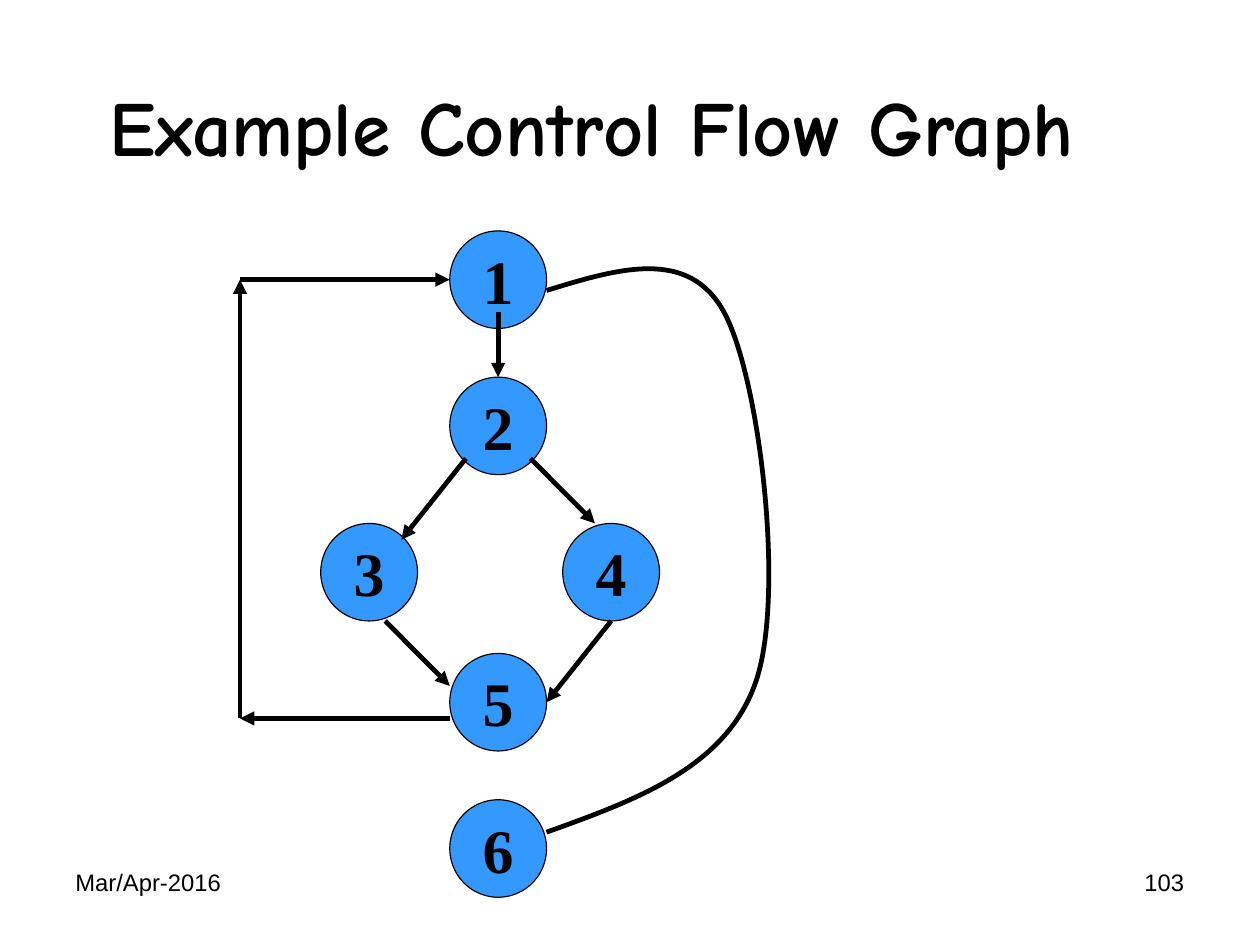
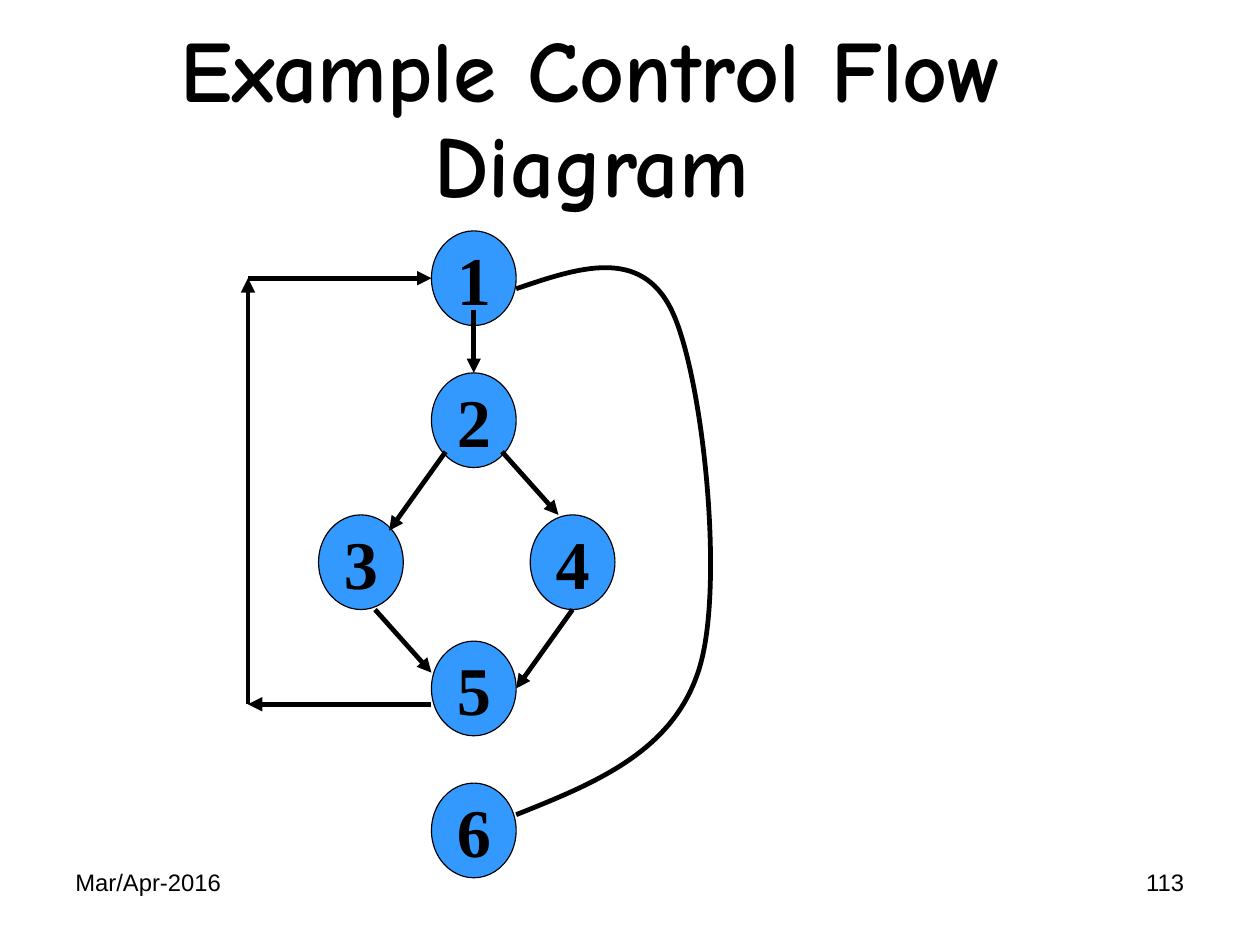
from pptx import Presentation
from pptx.dml.color import RGBColor
from pptx.enum.shapes import MSO_CONNECTOR, MSO_SHAPE
from pptx.enum.text import MSO_ANCHOR, MSO_AUTO_SIZE, PP_ALIGN
from pptx.oxml.ns import qn
from pptx.util import Cm, Inches, Pt
from lxml.etree import SubElement

BLACK = RGBColor(0x00, 0x00, 0x00)
BLUE = RGBColor(0x33, 0x99, 0xFF)

# The graph lies on a grid: 26 columns to the right of node 4, 41 rows
COLS, ROWS, NODE = 26, 41, 6
NODES = [(13, 0), (13, 9), (5, 18), (20, 18), (13, 26), (13, 35)]
ARROWS = [
    ((16, 5), (16, 9)),
    ((14, 14), (10, 19)),
    ((18, 14), (22, 18)),
    ((9, 24), (13, 28)),
    ((23, 24), (19, 29)),
    ((13, 30), (0, 30)),
    ((0, 30), (0, 3)),
    ((0, 3), (13, 3)),
]
# Start point, then three Bezier points per segment
EXIT_CURVE = [
    (19, 3.67),
    (23.4, 2.33), (27.8, 1), (30, 5),
    (32.2, 9), (33.8, 22.33), (32, 27.67),
    (30.2, 33), (24.6, 35), (19, 37),
]

# title, title size, title top, graph box, digit size, slide number
SLIDES = [
    ("Example Control Flow Graph", 49, 0.46, (2.1, 2.02, 3.67, 5.83), 39, "103"),
    ("Example Control Flow Diagram", 55, 0.37, (2.17, 2.02, 3.21, 5.66), 43, "113"),
]


def write(shape, text, font, size, align, anchor=MSO_ANCHOR.MIDDLE, bold=True):
    tf = shape.text_frame
    tf.word_wrap = True
    tf.auto_size = MSO_AUTO_SIZE.NONE
    tf.vertical_anchor = anchor
    tf.margin_left = tf.margin_right = Inches(0.11)
    tf.margin_top = tf.margin_bottom = Inches(0.06)
    p = tf.paragraphs[0]
    p.text = text
    p.alignment = align
    p.font.name = font
    p.font.size = Pt(size)
    p.font.bold = bold
    p.font.color.rgb = BLACK
    return p


def curve_segments(freeform):
    """Turn each three line segments of the outline into one Bezier segment."""
    path = next(freeform._element.iter(qn("a:path")))
    lines = path.findall(qn("a:lnTo"))
    for i in range(0, len(lines), 3):
        bezier = SubElement(path, qn("a:cubicBezTo"))
        for line in lines[i:i + 3]:
            bezier.append(line[0])
            path.remove(line)


prs = Presentation()
prs.slide_width, prs.slide_height = Cm(28), Cm(21)

for title, title_size, title_top, box, digit_size, number in SLIDES:
    s = prs.slides.add_slide(prs.slide_layouts[5])

    sp = s.shapes.title
    sp.left, sp.top = Inches(0.49), Inches(title_top)
    sp.width, sp.height = Inches(9.37), Inches(1.38)
    p = write(sp, title, "Comic Neue", title_size, PP_ALIGN.CENTER)
    p.line_spacing = 0.91

    for left, text, align in [(0.55, "Mar/Apr-2016", PP_ALIGN.LEFT),
                              (7.9, number, PP_ALIGN.RIGHT)]:
        sp = s.shapes.add_textbox(Inches(left), Inches(7.53), Inches(2.57), Inches(0.57))
        write(sp, text, "Arial", 15, align, MSO_ANCHOR.TOP, False)

    left, top, width, height = box
    col, row = width / COLS, height / ROWS
    graph = s.shapes.add_group_shape().shapes

    for i, (x, y) in enumerate(NODES, 1):
        sp = graph.add_shape(MSO_SHAPE.OVAL, Inches(left + x * col), Inches(top + y * row),
                             Inches(NODE * col), Inches(NODE * row))
        sp.shadow.inherit = False
        sp.fill.solid()
        sp.fill.fore_color.rgb = BLUE
        sp.line.color.rgb = BLACK
        sp.line.width = Pt(0.75)
        write(sp, str(i), "Times New Roman", digit_size, PP_ALIGN.CENTER)

    for (x1, y1), (x2, y2) in ARROWS:
        arrow = graph.add_connector(MSO_CONNECTOR.STRAIGHT,
                                    Inches(left + x1 * col), Inches(top + y1 * row),
                                    Inches(left + x2 * col), Inches(top + y2 * row))
        arrow.line.color.rgb = BLACK
        arrow.line.width = Pt(3)
        spPr = arrow._element.spPr
        SubElement(spPr.find(qn("a:ln")), qn("a:tailEnd"), type="triangle")
        SubElement(spPr, qn("a:effectLst"))

    points = [(Inches(left + x * col), Inches(top + y * row)) for x, y in EXIT_CURVE]
    builder = graph.build_freeform(*points[0])
    builder.add_line_segments(points[1:], close=False)
    sp = builder.convert_to_shape()
    curve_segments(sp)
    sp.shadow.inherit = False
    sp.fill.background()
    sp.line.color.rgb = BLACK
    sp.line.width = Pt(3)

prs.save("out.pptx")
